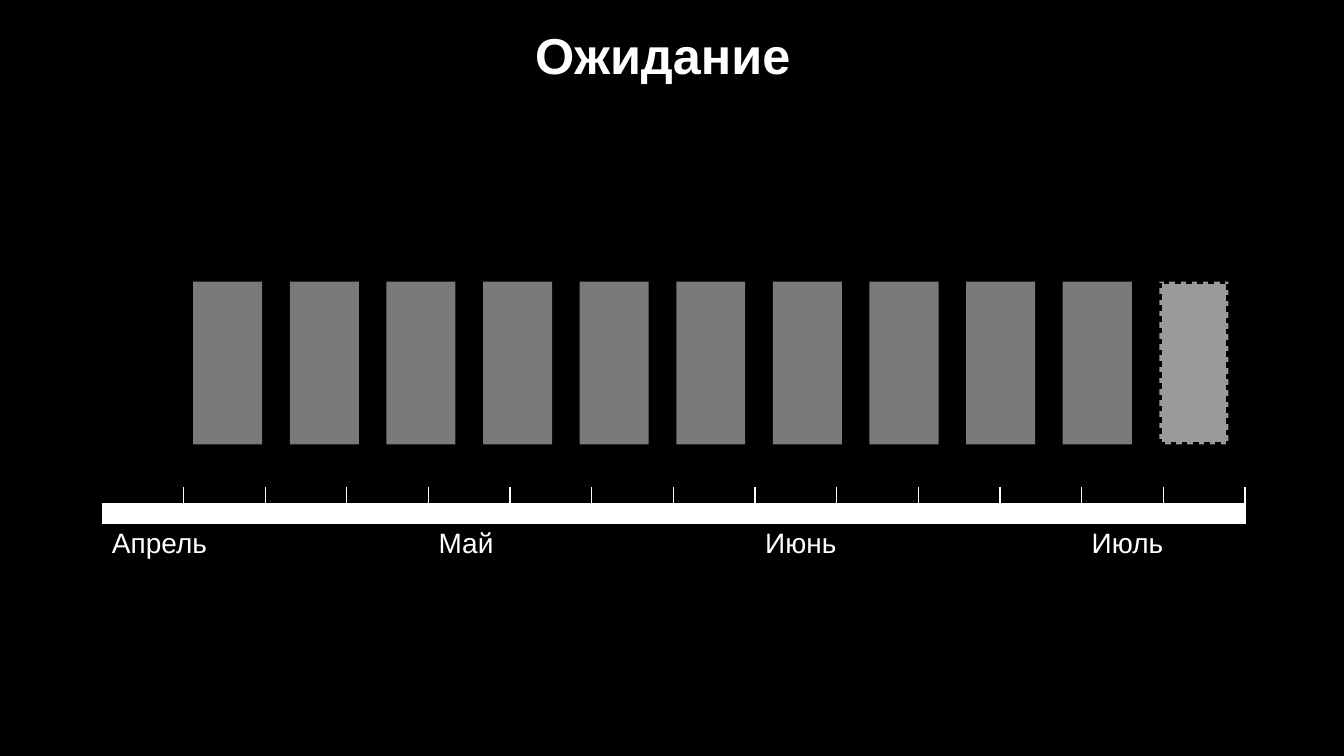
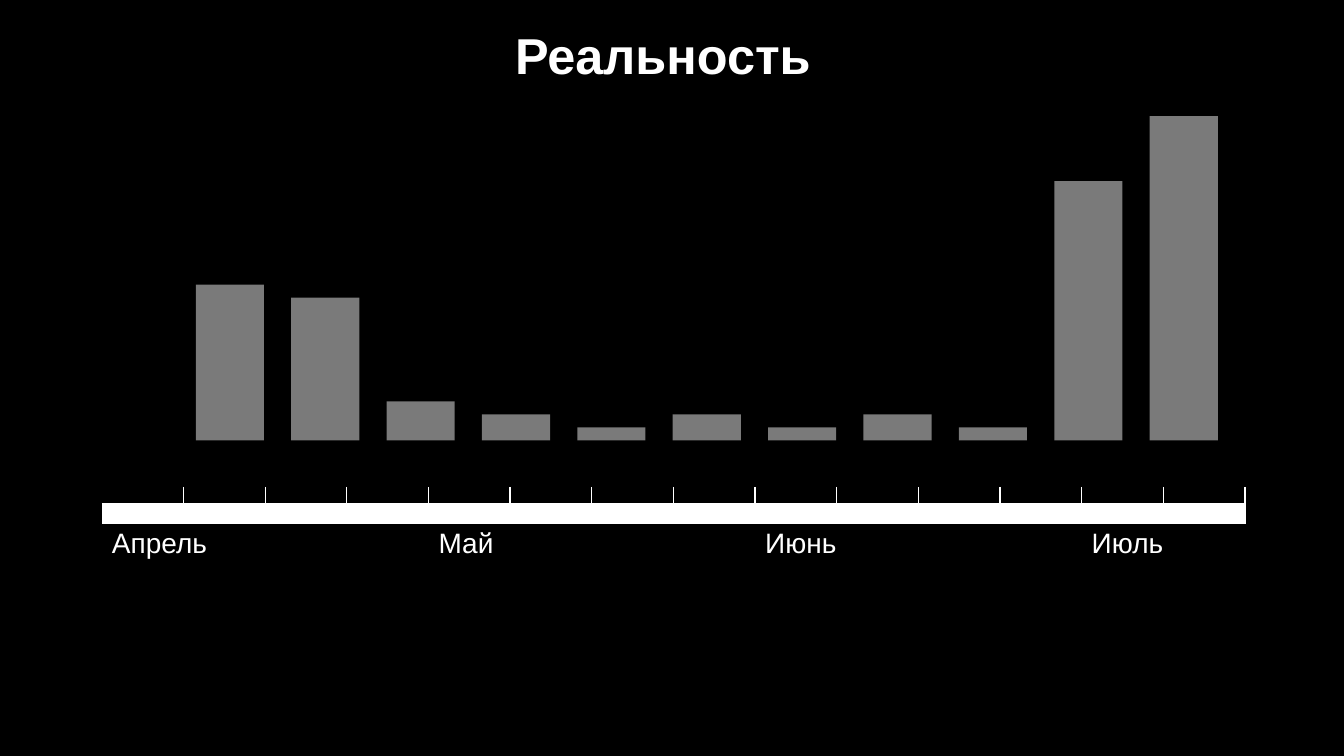
from lxml.etree import SubElement
from pptx import Presentation
from pptx.chart.data import CategoryChartData
from pptx.dml.color import RGBColor
from pptx.enum.chart import XL_CHART_TYPE as ChartType
from pptx.enum.dml import MSO_LINE as LineStyle
from pptx.enum.text import MSO_ANCHOR as Anchor, PP_ALIGN as Align
from pptx.oxml.ns import qn
from pptx.util import Inches, Pt

BLACK = RGBColor(0x00, 0x00, 0x00)
WHITE = RGBColor(0xFF, 0xFF, 0xFF)
GRAY = RGBColor(0xBF, 0xBF, 0xBF)
LIGHT = RGBColor(0xF2, 0xF2, 0xF2)
FONT = "Arial"
PLAIN_TABLE = "{2D5ABB26-0587-4C30-8999-92F81FD0307C}"
BAR_OPACITY = 64
MONTHS = ["Апрель", "Май", "Июнь", "Июль"]
WEEKS = 14
WEEKS_IN_MONTH = 4
ROW_HEIGHTS = [0.17, 0.19, 0.44]


def write_text(frame, text, size=20, bold=False, align=Align.LEFT):
    para = frame.paragraphs[0]
    para.alignment = align
    span = para.add_run()
    span.text = text
    span.font.name = FONT
    span.font.size = Pt(size)
    span.font.bold = bold
    span.font.color.rgb = WHITE


def add_borders(cell, sides):
    properties = cell._tc.get_or_add_tcPr()
    for side in sides:
        line = SubElement(properties, qn(f"a:ln{side}"), w=str(Pt(1)))
        color = SubElement(SubElement(line, qn("a:solidFill")), qn("a:srgbClr"))
        color.set("val", str(WHITE))


def shrink_empty_cell(cell):
    cell.margin_left = cell.margin_right = cell.margin_top = cell.margin_bottom = 0
    para = cell.text_frame.paragraphs[0]
    SubElement(para._p, qn("a:endParaRPr"), sz="100")


class TimelineDeck:
    def __init__(self):
        self.deck = Presentation()
        self.deck.slide_width = Inches(13.33)
        self.deck.slide_height = Inches(7.5)
        background = self.deck.slide_master.background.fill
        background.solid()
        background.fore_color.rgb = BLACK
        self.page = None

    def add_page(self, title):
        self.page = self.deck.slides.add_slide(self.deck.slide_layouts[5])
        box = self.page.shapes.title
        box.left, box.top = Inches(2.37), Inches(0.18)
        box.width, box.height = Inches(8.41), Inches(0.71)
        box.text_frame.vertical_anchor = Anchor.MIDDLE
        write_text(box.text_frame, title, size=36, bold=True, align=Align.CENTER)

    def add_timeline(self):
        frame = self.page.shapes.add_table(
            len(ROW_HEIGHTS), WEEKS, Inches(1.01), Inches(4.83),
            Inches(11.34), Inches(sum(ROW_HEIGHTS)))
        table = frame.table
        table.first_row = table.horz_banding = False
        table._tbl.tblPr.find(qn("a:tableStyleId")).text = PLAIN_TABLE
        for row, height in zip(table.rows, ROW_HEIGHTS):
            row.height = Inches(height)
        ticks, band, labels = (list(row.cells) for row in table.rows)
        for cell in ticks:
            shrink_empty_cell(cell)
            add_borders(cell, "R")
            cell.fill.background()
        for cell in band:
            shrink_empty_cell(cell)
            add_borders(cell, "RT")
            cell.fill.solid()
            cell.fill.fore_color.rgb = WHITE
        for cell in labels:
            cell.fill.background()
        for index, month in enumerate(MONTHS):
            first = index * WEEKS_IN_MONTH
            last = min(first + WEEKS_IN_MONTH, WEEKS) - 1
            labels[first].merge(labels[last])
            write_text(labels[first].text_frame, month)

    def add_bars(self, values, left, top, width, height, planned=None):
        data = CategoryChartData()
        data.categories = [str(number + 1) for number in range(len(values))]
        data.add_series("Series 1", values)
        chart = self.page.shapes.add_chart(
            ChartType.COLUMN_CLUSTERED, Inches(left), Inches(top),
            Inches(width), Inches(height), data).chart
        chart.has_legend = chart.has_title = False
        chart.font.name = FONT
        chart.font.size = Pt(10)
        chart.font.color.rgb = BLACK
        chart.value_axis.has_major_gridlines = False
        chart.value_axis.minimum_scale = 0
        chart.value_axis.maximum_scale = 120
        chart.category_axis.visible = chart.value_axis.visible = False
        plot = chart.plots[0]
        plot.vary_by_categories = False
        plot.gap_width = 40
        plot.overlap = 17
        series = plot.series[0]
        series.invert_if_negative = False
        self.fill_bar(series, GRAY)
        if planned is not None:
            point = series.points[planned]
            self.fill_bar(point, LIGHT)
            point.format.line.color.rgb = BLACK
            point.format.line.width = Pt(4)
            point.format.line.dash_style = LineStyle.ROUND_DOT
        for color in series._element.iter(qn("a:solidFill")):
            if color.getparent().tag == qn("c:spPr"):
                SubElement(color[0], qn("a:alpha"), val=str(BAR_OPACITY * 1000))

    def fill_bar(self, bar, color):
        bar.format.fill.solid()
        bar.format.fill.fore_color.rgb = color

    def save(self):
        self.deck.save("out.pptx")


def main():
    timeline = TimelineDeck()

    timeline.add_page("Ожидание")
    timeline.add_timeline()
    timeline.add_bars([100] * 11, 1.56, 2.43, 10.98, 2.02, planned=10)

    timeline.add_page("Реальность")
    timeline.add_timeline()
    timeline.add_bars([48, 44, 12, 8, 4, 8, 4, 8, 4, 80, 100],
                      1.59, 0.43, 10.84, 4.02)

    timeline.save()


if __name__ == "__main__":
    main()
